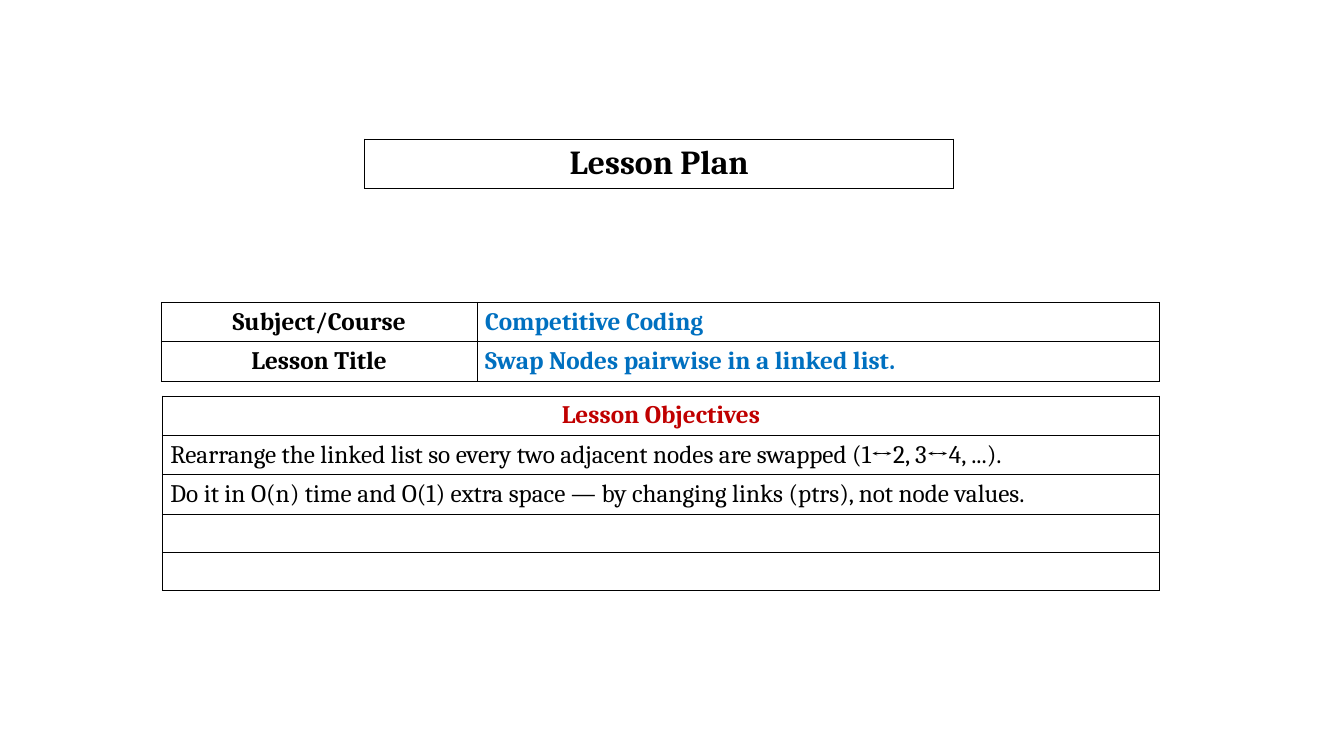
"""Build the lesson plan slide: a title box, the course details and the objectives."""
from dataclasses import dataclass

from lxml.etree import SubElement
from pptx import Presentation
from pptx.dml.color import RGBColor as Rgb
from pptx.enum.text import MSO_ANCHOR as Anchor, PP_ALIGN as Align
from pptx.oxml.ns import qn
from pptx.slide import Slide
from pptx.table import _Cell as Cell
from pptx.util import Inches, Pt

COLOURS = {"ink": "000000", "paper": "FFFFFF", "answer": "0070C0", "heading": "C00000"}
FONT = "Cambria"
SLIDE_WIDTH, SLIDE_HEIGHT = Inches(13.33), Inches(7.5)
BORDER_WIDTH = Pt(0.75)


@dataclass(frozen=True)
class Entry:
    text: str = ""
    colour: str = "ink"
    bold: bool = True
    centred: bool = False
    size: int = 18


@dataclass(frozen=True)
class Panel:
    left: float
    top: float
    widths: list[float]
    heights: list[float]
    entries: list[list[Entry]]


def across(percent: float) -> int:
    return round(SLIDE_WIDTH * percent / 100)


def down(percent: float) -> int:
    return round(SLIDE_HEIGHT * percent / 100)


def heading(text: str, colour: str = "ink", size: int = 18) -> Entry:
    return Entry(text, colour, centred=True, size=size)


def outline(cell: Cell) -> None:
    properties = cell._tc.get_or_add_tcPr()
    for side in ("lnL", "lnR", "lnT", "lnB"):
        edge = SubElement(properties, qn(f"a:{side}"), w=str(BORDER_WIDTH))
        paint = SubElement(edge, qn("a:solidFill"))
        SubElement(paint, qn("a:srgbClr"), val=COLOURS["ink"])


def write(cell: Cell, entry: Entry) -> None:
    outline(cell)
    cell.fill.solid()
    cell.fill.fore_color.rgb = Rgb.from_string(COLOURS["paper"])
    cell.vertical_anchor = Anchor.MIDDLE
    cell.margin_left = cell.margin_right = Inches(0.08)
    cell.margin_top = cell.margin_bottom = Inches(0.05)
    cell.text = entry.text
    line = cell.text_frame.paragraphs[0]
    line.alignment = Align.CENTER if entry.centred else Align.LEFT
    line.font.name = FONT
    line.font.size = Pt(entry.size)
    line.font.bold = entry.bold
    line.font.color.rgb = Rgb.from_string(COLOURS[entry.colour])


def draw(slide: Slide, panel: Panel) -> None:
    grid = slide.shapes.add_table(
        len(panel.heights), len(panel.widths),
        across(panel.left), down(panel.top),
        across(sum(panel.widths)), down(sum(panel.heights)),
    ).table
    grid.first_row = grid.horz_banding = False
    for column, width in zip(grid.columns, panel.widths):
        column.width = across(width)
    for row, height, entries in zip(grid.rows, panel.heights, panel.entries):
        row.height = down(height)
        for cell, entry in zip(row.cells, entries):
            write(cell, entry)


PANELS = [
    Panel(27.15, 18.4, [43.8], [6.53], [[heading("Lesson Plan", size=24)]]),
    Panel(12, 40, [23.5, 50.8], [5.2] * 2, [
        [heading("Subject/Course"), Entry("Competitive Coding", "answer")],
        [heading("Lesson Title"), Entry("Swap Nodes pairwise in a linked list.", "answer")],
    ]),
    Panel(12.08, 52.4, [74.2], [5.2] * 3 + [5.07] * 2, [
        [heading("Lesson Objectives", "heading")],
        [Entry("Rearrange the linked list so every two adjacent nodes are swapped "
               "(1↔2, 3↔4, ...).", bold=False)],
        [Entry("Do it in O(n) time and O(1) extra space — by changing links (ptrs), "
               "not node values.", bold=False)],
        [Entry(size=16)],
        [Entry(size=16)],
    ]),
]


def main() -> None:
    deck = Presentation()
    deck.slide_width, deck.slide_height = SLIDE_WIDTH, SLIDE_HEIGHT
    lesson = deck.slides.add_slide(deck.slide_layouts[6])
    for panel in PANELS:
        draw(lesson, panel)
    deck.save("out.pptx")


if __name__ == "__main__":
    main()
